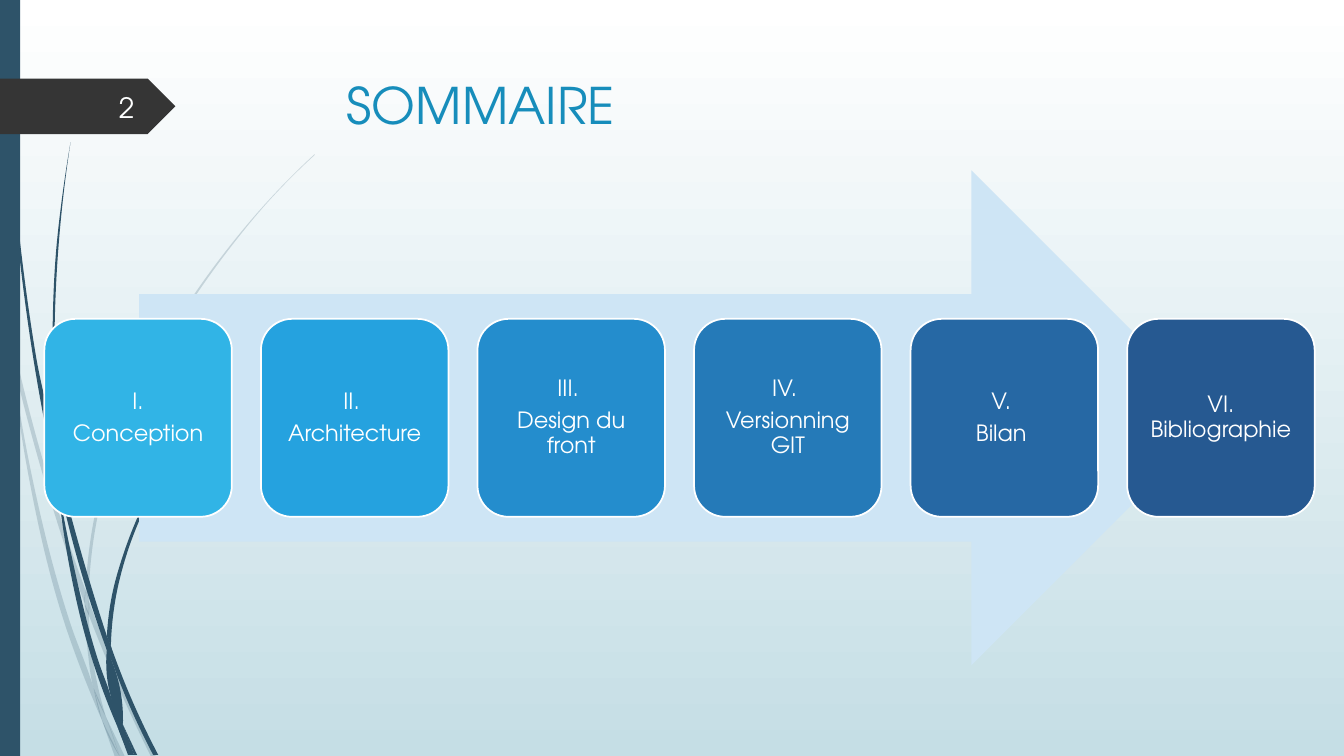
import math

import pptx
import pptx.dml.color
import pptx.enum.shapes
import pptx.enum.text
import pptx.oxml.ns
import pptx.util
from lxml import etree

SHAPES = pptx.enum.shapes.MSO_SHAPE
ALIGN = pptx.enum.text.PP_ALIGN
ANCHOR = pptx.enum.text.MSO_ANCHOR
qn = pptx.oxml.ns.qn
WIDTH, HEIGHT = 13.33, 7.5
FONT = "TeX Gyre Adventor"
NAVY = "2E5369"

# Each blade of grass: its two edges, as points in inches from the box corner
PALE_BLADES = [
    ([(0, 2.82), (0.09, 3.22), (0.11, 3.5)], [(0, 2.99), (0.11, 3.5)]),
    ([(0.14, 3.45), (0.62, 5.2), (0.85, 5.86)], [(0.17, 3.76), (0.58, 5.22), (0.84, 5.99)]),
    ([(0.88, 5.96), (1.27, 6.92), (1.55, 7.51)], [(0.88, 6.1), (1.23, 6.94), (1.5, 7.51)]),
    ([(1.05, 7.11), (1.24, 7.51)], [(1.05, 7.11), (1.19, 7.51)]),
    ([(0.11, 3.5), (0.31, 4.69), (0.7, 6.19), (0.93, 6.83), (1.01, 7.14)],
     [(0.11, 3.5), (0.28, 4.7), (0.65, 6.21), (0.92, 6.93), (1.01, 7.14)]),
    ([(0.84, 5.99), (0.87, 6.46), (0.93, 6.83), (1.05, 7.11)],
     [(0.88, 6.08), (0.91, 6.46), (1.05, 7.11)]),
    ([(0.85, 5.86), (0.92, 5.22), (1.07, 4.61), (1.58, 3.48), (2.28, 2.44), (2.68, 1.97), (3.12, 1.53)],
     [(0.88, 5.96), (0.95, 5.22), (1.1, 4.62), (1.6, 3.49), (2.29, 2.45), (2.68, 1.98), (3.12, 1.54)]),
    ([(1.01, 7.14), (1.14, 7.51)], [(1.01, 7.14), (1.19, 7.51)]),
    ([(0.85, 5.86), (0.88, 5.96), (0.88, 6.1)], [(0.85, 5.86), (0.84, 5.99), (0.88, 6.1)]),
    ([(0.93, 6.83), (1.05, 7.11), (1.19, 7.51)], [(0.93, 6.83), (1.01, 7.14), (1.19, 7.51)]),
]
DARK_BLADES = [
    ([(0.03, 0), (0.07, 1.1), (0.17, 2.33), (0.33, 3.55), (0.57, 4.81)],
     [(0.04, 0), (0.08, 1.09), (0.19, 2.32), (0.36, 3.55), (0.55, 4.53), (0.57, 4.81)]),
    ([(0.6, 4.72), (0.93, 5.9), (1.06, 6.31)], [(0.64, 5.05), (0.88, 5.92), (1.06, 6.45)]),
    ([(1.1, 6.41), (1.36, 7.06), (1.57, 7.49)], [(1.11, 6.56), (1.32, 7.08), (1.52, 7.49)]),
    ([(0.57, 4.77), (0.68, 5.57), (0.93, 6.59), (1.17, 7.22)],
     [(0.57, 4.77), (0.72, 5.56), (0.98, 6.57), (1.1, 6.91), (1.17, 7.22)]),
    ([(0.7, 1.41), (0.62, 1.93), (0.56, 2.45), (0.52, 3.49), (0.55, 4.49), (0.6, 4.72)],
     [(0.7, 1.41), (0.63, 1.93), (0.58, 2.45), (0.54, 3.49), (0.58, 4.53), (0.6, 4.72)]),
    ([(1.22, 7.19), (1.36, 7.49)], [(1.22, 7.19), (1.33, 7.49)]),
    ([(1.06, 6.31), (1.11, 5.91), (1.22, 5.51), (1.56, 4.74), (2.04, 4.05), (2.31, 3.73), (2.6, 3.44)],
     [(1.1, 6.41), (1.15, 5.92), (1.25, 5.52), (1.58, 4.76), (2.05, 4.06), (2.31, 3.74), (2.61, 3.44)]),
    ([(1.17, 7.22), (1.31, 7.49)], [(1.17, 7.22), (1.27, 7.49)]),
    ([(1.06, 6.45), (1.1, 6.91), (1.22, 7.19)], [(1.06, 6.45), (1.11, 6.56), (1.22, 7.19)]),
    ([(1.06, 6.31), (1.1, 6.41), (1.11, 6.56)], [(1.06, 6.31), (1.06, 6.45), (1.11, 6.56)]),
    ([(1.1, 6.91), (1.22, 7.19), (1.33, 7.49)], [(1.1, 6.91), (1.17, 7.22), (1.3, 7.49)]),
]
CHAPTERS = [
    (["I.", "Conception"], "31B4E6"),
    (["II. ", "Architecture"], "25A2DF"),
    (["III. ", "Design du front"], "248DCD"),
    (["IV. ", "Versionning GIT"], "257AB8"),
    (["V. ", "Bilan "], "2668A4"),
    (["VI. Bibliographie"], "265991"),
]


def color(code):
    return pptx.dml.color.RGBColor.from_string(code)


def inches(*lengths):
    return [pptx.util.Inches(length) for length in lengths]


def paint(shape, fill, line=None, opacity=None):
    shape.shadow.inherit = False
    shape.fill.solid()
    shape.fill.fore_color.rgb = color(fill)
    if opacity:
        tone = shape.fill._xPr.find(".//" + qn("a:srgbClr"))
        etree.SubElement(tone, qn("a:alpha"), val=str(opacity * 1000))
    if line:
        shape.line.color.rgb = color(line)
        shape.line.width = pptx.util.Pt(1.25)
    else:
        shape.line.fill.background()


def add_preset(page, kind, box, fill, line=None):
    shape = page.shapes.add_shape(kind, *inches(*box))
    paint(shape, fill, line)
    return shape


def write(shape, paragraphs, size, ink="FFFFFF", align=ALIGN.LEFT, anchor=ANCHOR.TOP,
          insets=(0.1, 0.05, 0.1, 0.05), line_spacing=None, space_after=None):
    frame = shape.text_frame
    frame.word_wrap = True
    frame.vertical_anchor = anchor
    (frame.margin_left, frame.margin_top,
     frame.margin_right, frame.margin_bottom) = inches(*insets)
    for index, text in enumerate(paragraphs):
        para = frame.add_paragraph() if index else frame.paragraphs[0]
        para.alignment = align
        para.line_spacing = line_spacing
        if space_after:
            para.space_after = pptx.util.Pt(space_after)
        span = para.add_run()
        span.text = text
        span.font.name = FONT
        span.font.size = pptx.util.Pt(size)
        span.font.color.rgb = color(ink)


def slopes(points):
    """Tangent at each point of a smooth curve, with the length of each chord."""
    chords = [math.dist(a, b) for a, b in zip(points, points[1:])]
    units = [[(q - p) / chord for p, q in zip(a, b)]
             for a, b, chord in zip(points, points[1:], chords)]
    inner = [[(p * after + q * before) / (before + after) for p, q in zip(a, b)]
             for a, b, before, after in zip(units, units[1:], chords, chords[1:])]
    if not inner:
        return units * 2, chords
    first = [2 * p - q for p, q in zip(units[0], inner[0])]
    last = [2 * p - q for p, q in zip(units[-1], inner[-1])]
    return [first, *inner, last], chords


def bend(nodes):
    """Turn the straight segments that join these path nodes into curves."""
    points = [(int(node[0].get("x")), int(node[0].get("y"))) for node in nodes]
    tangents, chords = slopes(points)
    for index, chord in enumerate(chords):
        node = nodes[index + 1]
        node.tag = qn("a:cubicBezTo")
        for position, sign in ((0, 1), (1, -1)):
            end = index + position
            x, y = (round(p + sign * m * chord / 3)
                    for p, m in zip(points[end], tangents[end]))
            node.insert(position, node.makeelement(qn("a:pt"), {"x": str(x), "y": str(y)}))


def draw_grass(page, box, blades, opacity=None):
    left, top = box[:2]
    for edge, other_edge in blades:
        outline = [inches(left + x, top + y) for x, y in edge + other_edge[::-1]]
        builder = page.shapes.build_freeform(*outline[0])
        builder.add_line_segments(outline[1:], close=True)
        blade = builder.convert_to_shape()
        nodes = list(blade.element.find(".//" + qn("a:pathLst"))[0])
        # The far edge goes first, while its nodes still hold one point each
        bend(nodes[len(edge):len(outline)])
        bend(nodes[:len(edge)])
        paint(blade, NAVY, opacity=opacity)


def draw_backdrop(page, box):
    fill = page.background.fill
    fill.gradient()
    fill.gradient_angle = 270
    for stop, code in zip(fill.gradient_stops, ("FFFFFF", "C5DEE5")):
        stop.color.rgb = color(code)
    draw_grass(page, box, PALE_BLADES, opacity=20)
    draw_grass(page, box, DARK_BLADES)
    left, top, width, height = box
    add_preset(page, SHAPES.RECTANGLE, (left, top, width * 0.015, height), NAVY)


def draw_page_number(page, box, number):
    left, top, width, height = box
    add_preset(page, SHAPES.PENTAGON, box, "353535")
    label = page.shapes.add_textbox(*inches(left + width / 3, top + 0.08, width * 0.49, 0.4))
    write(label, [number], 20, ink="FEFFFF", align=ALIGN.RIGHT, anchor=ANCHOR.MIDDLE)


def draw_title(page, box, text):
    title = page.shapes.add_textbox(*inches(*box))
    write(title, [text], 36, ink="178DBB", insets=(0.6, 0.06, 0.1, 0.05))


def draw_chapters(page, box):
    left, top, width, height = box
    # Arrow behind the cards
    add_preset(page, SHAPES.RIGHT_ARROW, (left + 0.94, top, width * 0.85, height), "CEE5F5")
    # Row of cards: six equal columns, centred on the arrow
    card_width, card_height = 1.86, height * 0.4
    pitch = (width - card_width) / (len(CHAPTERS) - 1)
    for column, (lines, fill) in enumerate(CHAPTERS):
        place = (left + column * pitch, top + height * 0.3, card_width, card_height)
        card = add_preset(page, SHAPES.ROUNDED_RECTANGLE, place, fill, line="FFFFFF")
        write(card, lines, 16, align=ALIGN.CENTER, anchor=ANCHOR.MIDDLE,
              insets=(0.07,) * 4, line_spacing=0.9, space_after=5.6)


def main():
    deck = pptx.Presentation()
    deck.slide_width, deck.slide_height = inches(WIDTH, HEIGHT)
    page = deck.slides.add_slide(deck.slide_layouts[6])
    draw_backdrop(page, (0, 0, WIDTH, HEIGHT))
    draw_page_number(page, (0, 0.78, 1.74, 0.55), "2")
    draw_title(page, (2.84, 0.68, 9.75, 1.4), "SOMMAIRE")
    draw_chapters(page, (0.44, 1.69, 12.6, 4.91))
    deck.save("out.pptx")


if __name__ == "__main__":
    main()
